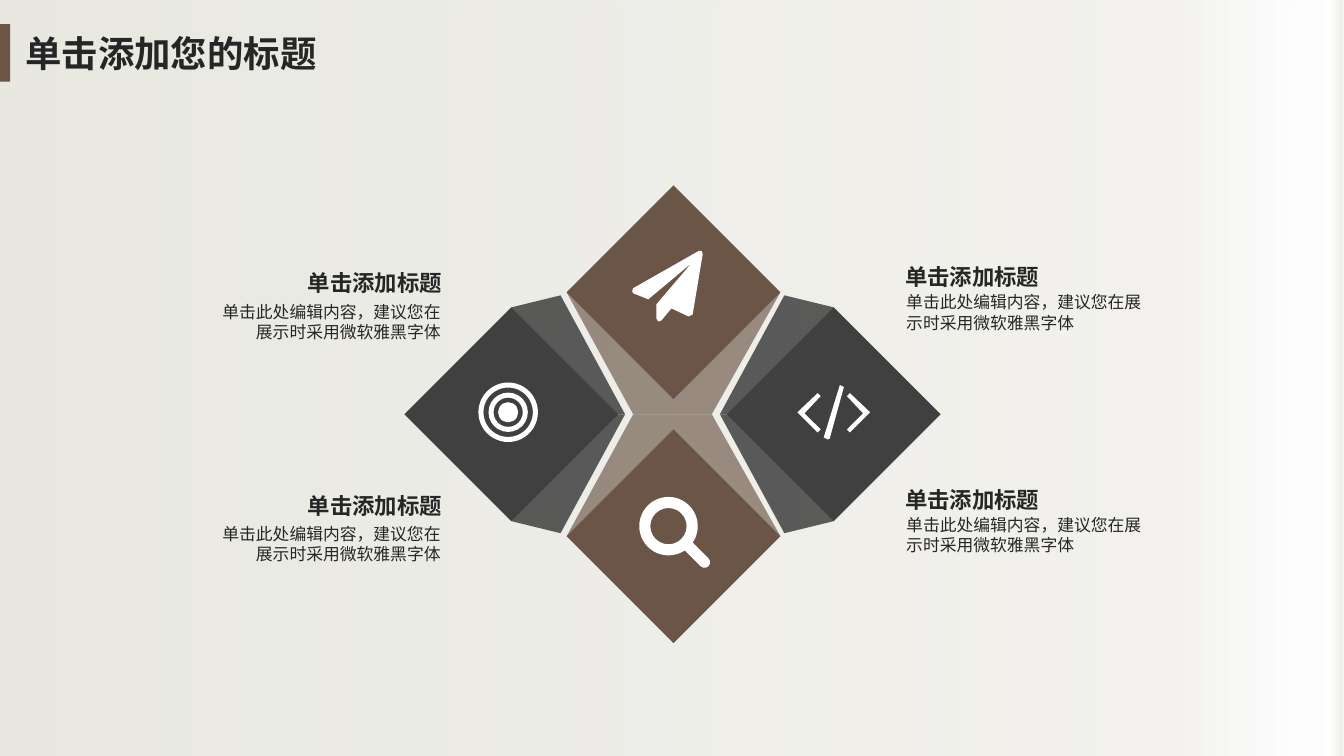
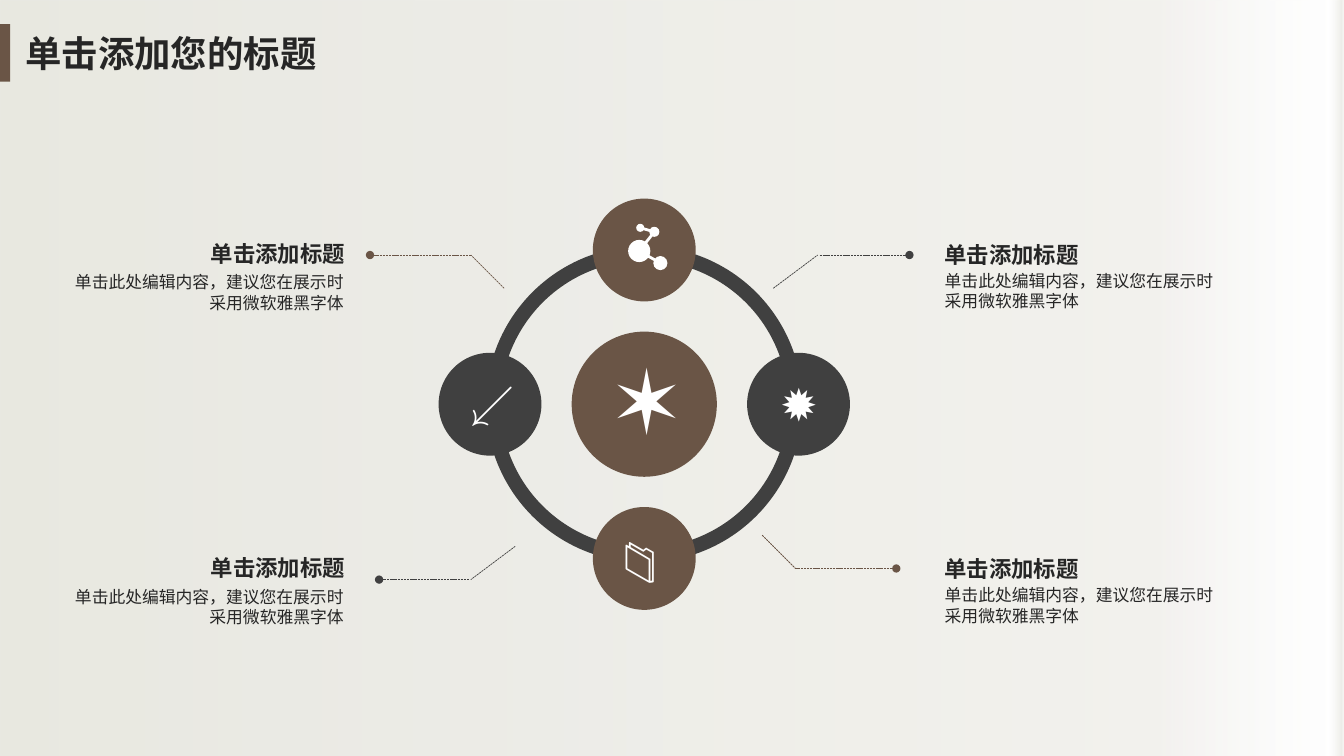
import pptx
import pptx.dml.color
import pptx.enum.dml
import pptx.enum.shapes
import pptx.enum.text
import pptx.oxml
import pptx.oxml.ns
import pptx.util

Inches, Pt = pptx.util.Inches, pptx.util.Pt
SHAPE = pptx.enum.shapes.MSO_SHAPE
ALIGN = pptx.enum.text.PP_ALIGN
ANCHOR = pptx.enum.text.MSO_ANCHOR
qn = pptx.oxml.ns.qn

BROWN, GRAY, INK, WHITE = "6A5546", "404040", "262626", "FFFFFF"
CJK = "Noto Sans CJK SC"
TITLE = "单击添加您的标题"
HEADING = "单击添加标题"
BODY = "单击此处编辑内容，建议您在展示时采用微软雅黑字体"
INSETS = (0.1, 0.05, 0.1, 0.05)
# position %, colour, opacity %
BACKDROP = [(0, "E7E7DF", 94), (86, "F0EFEB", 85), (99, "FFFFFF", 62), (100, "EBEBE5", 100)]


def rgb(value):
    return pptx.dml.color.RGBColor.from_string(value)


def sub(parent, tag, **attrs):
    """Append a DrawingML child element."""
    el = pptx.oxml.parse_xml(f"<{tag} {pptx.oxml.ns.nsdecls('a')}/>")
    for name, value in attrs.items():
        el.set(name, str(value))
    parent.append(el)
    return el


# ---- basic parts ----
def paint(sp, color, opacity=100):
    sp.shadow.inherit = False
    sp.line.fill.background()
    sp.fill.solid()
    sp.fill.fore_color.rgb = rgb(color)
    if opacity < 100:
        clr = sp._element.spPr.find(qn("a:solidFill"))[0]
        sub(clr, "a:alpha", val=opacity * 1000)
    return sp


def shape(slide, kind, x, y, w, h, color):
    sp = slide.shapes.add_shape(kind, Inches(x), Inches(y), Inches(w), Inches(h))
    return paint(sp, color)


def centred(slide, kind, cx, cy, w, h, color):
    return shape(slide, kind, cx - w / 2, cy - h / 2, w, h, color)


def disc(slide, cx, cy, radius, color):
    return centred(slide, SHAPE.OVAL, cx, cy, 2 * radius, 2 * radius, color)


def ring(slide, cx, cy, radius, thickness, color):
    sp = centred(slide, SHAPE.DONUT, cx, cy, 2 * radius, 2 * radius, color)
    sp.adjustments[0] = thickness / (2 * radius)


def polygon(slide, cx, cy, offsets, color, opacity=100):
    points = [(Inches(cx + dx), Inches(cy + dy)) for dx, dy in offsets]
    builder = slide.shapes.build_freeform(*points[0])
    builder.add_line_segments(points[1:], close=True)
    return paint(builder.convert_to_shape(), color, opacity)


def line(slide, start, end, color, width, dashed=False, dot=False):
    cn = slide.shapes.add_connector(
        pptx.enum.shapes.MSO_CONNECTOR.STRAIGHT, *map(Inches, start + end))
    cn.line.color.rgb = rgb(color)
    cn.line.width = Pt(width)
    if dashed:
        cn.line.dash_style = pptx.enum.dml.MSO_LINE.SQUARE_DOT
    if dot:
        sub(cn.line._get_or_add_ln(), "a:tailEnd", type="oval")
    sub(cn._element.spPr, "a:effectLst")


def write(tf, text, size, color=INK, bold=False, font=CJK, ea=CJK,
          align=ALIGN.LEFT, anchor=ANCHOR.TOP, insets=INSETS, fixed=True):
    tf.margin_left, tf.margin_top, tf.margin_right, tf.margin_bottom = map(Inches, insets)
    tf.vertical_anchor = anchor
    tf.text = text
    p = tf.paragraphs[0]
    p.alignment = align
    if fixed:
        p.line_spacing = Pt(size * 1.2)
    r = p.runs[0]
    r.font.size, r.font.bold, r.font.name = Pt(size), bold, font
    r.font.color.rgb = rgb(color)
    sub(r._r.get_or_add_rPr(), "a:ea", typeface=ea)


def label(slide, box, text, size, wrap=True, **style):
    tf = slide.shapes.add_textbox(*map(Inches, box)).text_frame
    tf.word_wrap = wrap
    write(tf, text, size, **style)


# ---- shared slide design ----
def dress_layout(slide):
    """Put the backdrop and title marker on the slide's layout."""
    backdrop = shape(slide, SHAPE.RECTANGLE, 0, 0, 13.33, 7.5, WHITE)
    backdrop.fill.gradient()
    backdrop.fill.gradient_angle = 0
    stops = backdrop._element.spPr.find(qn("a:gradFill")).find(qn("a:gsLst"))
    for stop in list(stops):
        stops.remove(stop)
    for pos, color, opacity in BACKDROP:
        clr = sub(sub(stops, "a:gs", pos=pos * 1000), "a:srgbClr", val=color)
        sub(clr, "a:alpha", val=opacity * 1000)
    marker = shape(slide, SHAPE.RECTANGLE, 0, 0.24, 0.1, 0.57, BROWN)
    tree = slide.slide_layout.shapes._spTree
    for i, sp in enumerate((backdrop, marker)):
        sp._element.nvSpPr.cNvPr.set("id", str(100 + i))
        tree.insert(2 + i, sp._element)


def titled_slide(prs):
    slide = prs.slides.add_slide(prs.slide_layouts[5])
    title = slide.shapes.title
    title.left, title.top, title.width, title.height = map(Inches, (0.15, 0.26, 3.91, 0.54))
    title.text_frame.word_wrap = True
    title.text_frame.auto_size = pptx.enum.text.MSO_AUTO_SIZE.NONE
    write(title.text_frame, TITLE, 26, bold=True)
    return slide


# ---- icons, each around its centre ----
def plane_icon(slide, cx, cy):
    polygon(slide, cx, cy, [
        (0.35, -0.32), (0.25, 0.28), (0.21, 0.3), (0.04, 0.22), (-0.06, 0.34),
        (-0.09, 0.35), (-0.11, 0.32), (-0.11, 0.18), (0.24, -0.23), (-0.19, 0.13),
        (-0.34, 0.07), (-0.35, 0.05), (-0.34, 0.02), (0.31, -0.35), (0.34, -0.35)], WHITE)


def code_icon(slide, cx, cy):
    chevron = [(0.16, 0.2), (0.36, 0), (0.16, -0.19), (0.13, -0.16), (0.29, 0.01), (0.13, 0.17)]
    for side in (-1, 1):
        polygon(slide, cx, cy, [(side * dx, dy) for dx, dy in chevron], WHITE)
    polygon(slide, cx, cy, [(-0.06, 0.27), (-0.1, 0.25), (0.06, -0.27),
                            (0.1, -0.25), (-0.04, 0.26)], WHITE)


def search_icon(slide, cx, cy):
    ring(slide, cx, cy, 0.29, 0.11, WHITE)
    handle = centred(slide, SHAPE.ROUNDED_RECTANGLE, cx + 0.27, cy + 0.27, 0.36, 0.11, WHITE)
    handle.adjustments[0] = 0.5
    handle.rotation = 45


def target_icon(slide, cx, cy):
    for radius in (0.295, 0.195):
        ring(slide, cx, cy, radius, 0.05, WHITE)
    disc(slide, cx, cy, 0.1, WHITE)


def molecule_icon(slide, cx, cy):
    atoms = [(-0.08, 0.04, 0.11), (0.07, -0.15, 0.05), (-0.07, -0.19, 0.04), (0.13, 0.16, 0.07)]
    atoms = [(cx + dx, cy + dy, radius) for dx, dy, radius in atoms]
    for a, b in ((0, 1), (1, 2), (0, 3)):
        line(slide, atoms[a][:2], atoms[b][:2], WHITE, 2)
    for atom in atoms:
        disc(slide, *atom, WHITE)


# ---- slide 1: four folded diamonds ----
def folded_diamonds(slide, cx, cy):
    span, rise, reach = 2.12, 1.21, 1.6
    for side in (-1, 1):
        polygon(slide, cx, cy, [(-span / 2, side * rise), (span / 2, side * rise),
                                (0.38, 0), (-0.4, 0)], BROWN, 65)
        centred(slide, SHAPE.DIAMOND, cx, cy + side * rise, span, span, BROWN)
    for side in (-1, 1):
        for up in (-1, 1):
            fold = [(1.6, 1.06), (1.6, 0), (0.47, 0), (1.11, 1.18)]
            polygon(slide, cx - 0.01, cy, [(side * dx, up * dy) for dx, dy in fold], GRAY, 85)
        centred(slide, SHAPE.DIAMOND, cx - 0.01 + side * reach, cy, span, span, GRAY)
    plane_icon(slide, cx - 0.06, cy - 1.27)
    code_icon(slide, cx + 1.59, cy - 0.02)
    search_icon(slide, cx - 0.05, cy + 1.11)
    target_icon(slide, cx - 1.64, cy - 0.02)


def diamond_slide(prs):
    slide = titled_slide(prs)
    dress_layout(slide)
    folded_diamonds(slide, 6.68, 4.11)
    for y in (2.56, 4.77):
        label(slide, (8.89, y + 0.29, 2.54, 0.5), BODY, 12)
        label(slide, (8.88, y, 2.17, 0.37), HEADING, 16, bold=True)
        label(slide, (2.09, y + 0.38, 2.38, 0.5), BODY, 12, align=ALIGN.RIGHT)
        label(slide, (2.49, y + 0.06, 1.99, 0.37), HEADING, 16, bold=True, align=ALIGN.RIGHT)
    return slide


# ---- slide 2: ring of circles ----
def circle_ring(slide, cx, cy):
    quarter = 54  # 90 degrees in adjustment units
    for i in range(4):
        arc = centred(slide, SHAPE.BLOCK_ARC, cx, cy, 3.14, 3.14, GRAY)
        arc.adjustments[0] = i * quarter
        arc.adjustments[1] = (i + 1) % 4 * quarter
        arc.adjustments[2] = 0.046
    disc(slide, cx, cy, 0.72, BROWN)
    for dx, dy, color in ((0, -1, BROWN), (1, 0, GRAY), (0, 1, BROWN), (-1, 0, GRAY)):
        disc(slide, cx + dx * 1.53, cy + dy * 1.53, 0.51, color)
    symbols = [("↙", -1.83, -0.34, 0.68, 0.64, 32), ("✹", 1.25, -0.32, 0.65, 0.64, 32),
               ("📁", -0.3, 1.21, 0.68, 0.64, 32), ("✶", -0.44, -0.64, 0.97, 1.18, 64)]
    for text, dx, dy, w, h, size in symbols:
        label(slide, (cx + dx, cy + dy, w, h), text, size, wrap=False, color=WHITE,
              font="Roboto", ea="Roboto", fixed=False)
    molecule_icon(slide, cx + 0.03, cy - 1.56)


def leader(slide, start, bend, end_x, color, gap=0):
    """Slanted line to the bend, then a level line ending in a dot."""
    x, y = bend
    line(slide, start, bend, color, 0.5, dashed=True)
    line(slide, (x + gap, y), (end_x, y), color, 0.5, dashed=True, dot=True)


def ring_slide(prs):
    slide = titled_slide(prs)
    circle_ring(slide, 6.39, 4.01)
    leader(slide, (7.67, 2.86), (8.11, 2.53), 9.02, GRAY, 0.02)
    leader(slide, (7.56, 5.31), (7.89, 5.64), 8.89, BROWN)
    leader(slide, (5, 2.86), (4.67, 2.53), 3.67, BROWN)
    leader(slide, (5.11, 5.42), (4.67, 5.75), 3.76, GRAY, -0.02)
    head = dict(bold=True, anchor=ANCHOR.MIDDLE)
    for y in (2.37, 5.49):
        label(slide, (9.37, y + 0.22, 2.83, 0.59), BODY, 12, font="Arial",
              anchor=ANCHOR.MIDDLE, insets=(0, 0.05, 0.1, 0.05))
        label(slide, (9.27, y, 2.31, 0.31), HEADING, 16, **head)
        label(slide, (1, y, 2.52, 0.29), HEADING, 16, align=ALIGN.RIGHT, **head)
        label(slide, (0.7, y + 0.33, 2.71, 0.4), BODY, 12, font="Arial",
              align=ALIGN.RIGHT, insets=(0, 0, 0, 0))
    return slide


def main():
    prs = pptx.Presentation()
    prs.slide_width, prs.slide_height = Inches(13.33), Inches(7.5)
    diamond_slide(prs)
    ring_slide(prs)
    prs.save("out.pptx")


if __name__ == "__main__":
    main()
